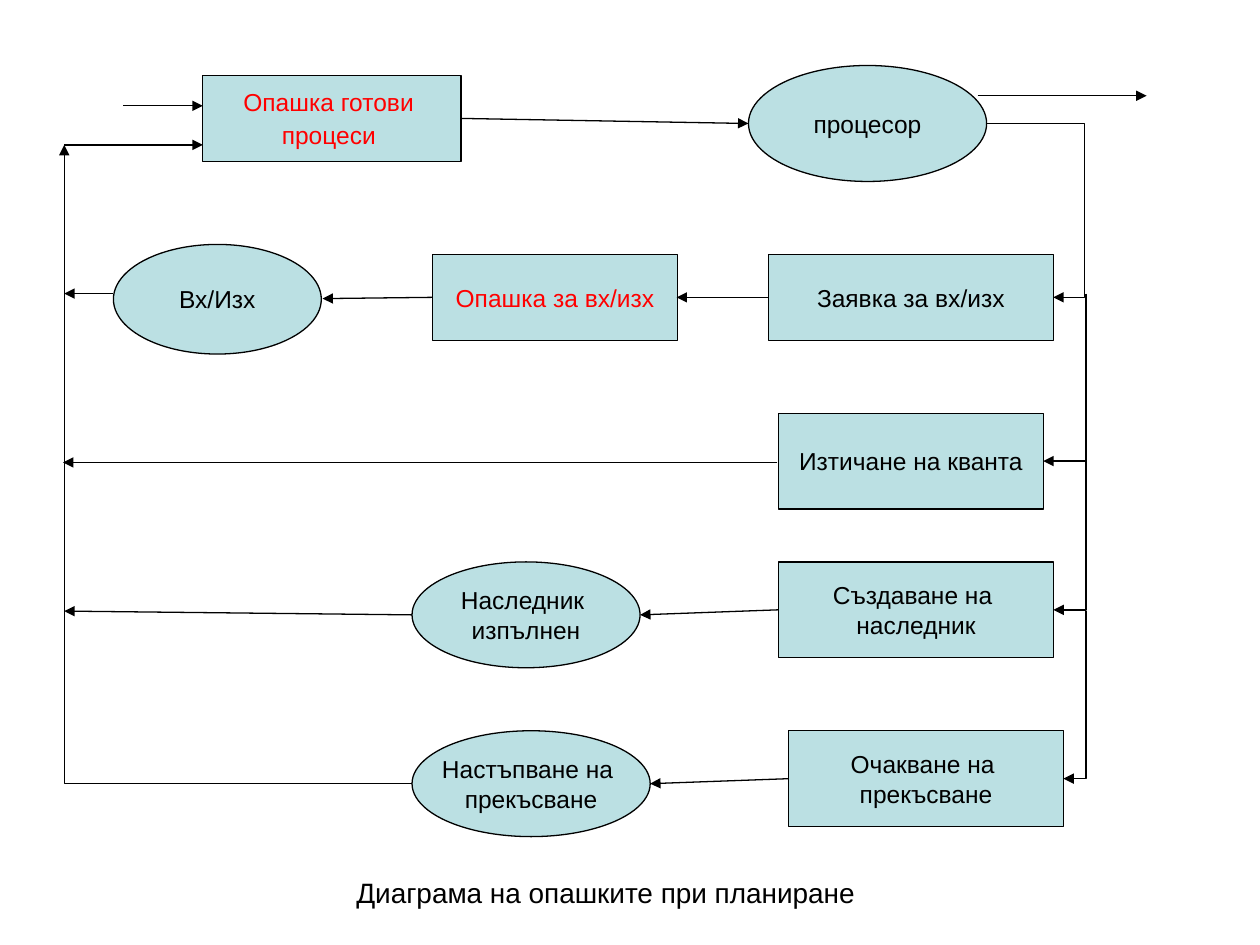
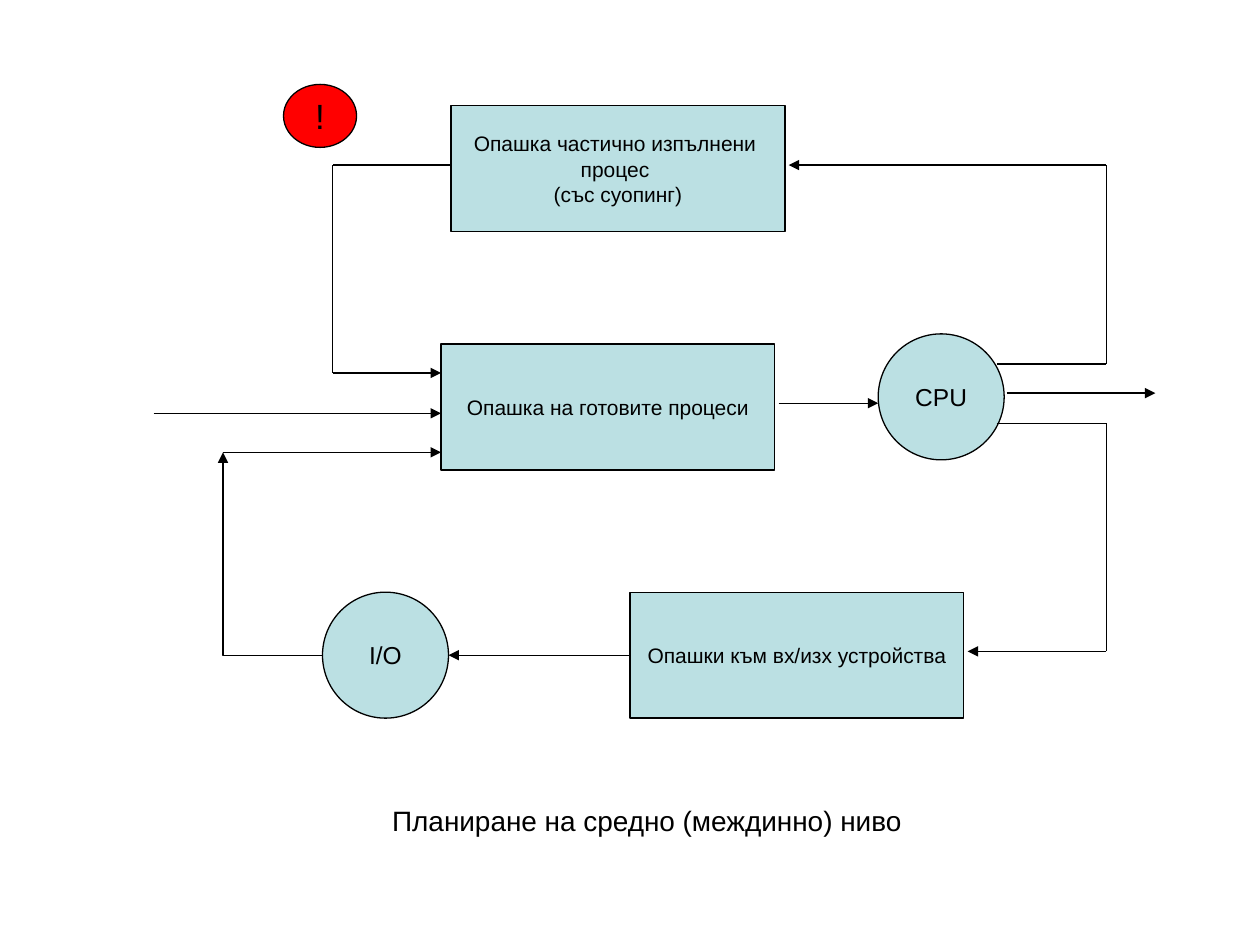
from itertools import pairwise

from lxml import etree
from pptx import Presentation
from pptx.dml.color import RGBColor
from pptx.enum.shapes import MSO_CONNECTOR as Link, MSO_SHAPE as Form
from pptx.enum.text import MSO_ANCHOR as Anchor, MSO_AUTO_SIZE as Fit, PP_ALIGN as Align
from pptx.oxml.ns import qn
from pptx.util import Inches, Pt

COLORS = {"node": "BBE0E3", "ink": "000000", "alert": "FF0000"}
FRAME = {
    "word_wrap": False,
    "vertical_anchor": Anchor.MIDDLE,
    "margin_left": Inches(0.1),
    "margin_right": Inches(0.1),
    "margin_top": Inches(0.05),
    "margin_bottom": Inches(0.05),
}
CAPTION_FRAME = FRAME | {"vertical_anchor": Anchor.TOP, "auto_size": Fit.SHAPE_TO_FIT_TEXT}


class Diagram:
    """Holds the shared style and the slide being drawn."""

    font, line_width = "Arial", Pt(0.75)

    def __init__(self, deck):
        self.deck = deck

    def new_slide(self):
        self.slide = self.deck.slides.add_slide(self.deck.slide_layouts[6])

    def color(self, name):
        return RGBColor.from_string(COLORS[name])

    def outline(self, item):
        item.line.color.rgb = self.color("ink")
        item.line.width = self.line_width

    def set_text(self, frame, lines, size, ink, align, settings):
        for name, value in settings.items():
            setattr(frame, name, value)
        for index, line in enumerate(lines):
            paragraph = frame.add_paragraph() if index else frame.paragraphs[0]
            paragraph.alignment = align
            run = paragraph.add_run()
            run.text = line
            style = {"name": self.font, "size": Pt(size)}
            for name, value in style.items():
                setattr(run.font, name, value)
            run.font.color.rgb = self.color(ink)

    def node(self, form, box, *lines, size=14, ink="ink", fill="node"):
        shape = self.slide.shapes.add_shape(form, *map(Inches, box))
        shape.shadow.inherit = False
        shape.fill.solid()
        shape.fill.fore_color.rgb = self.color(fill)
        self.outline(shape)
        self.set_text(shape.text_frame, lines, size, ink, Align.CENTER, FRAME)
        return shape.text_frame

    def queue(self, box, *lines, **style):
        return self.node(Form.RECTANGLE, box, *lines, **style)

    def station(self, box, *lines, **style):
        return self.node(Form.OVAL, box, *lines, **style)

    def caption(self, box, text, align):
        label = self.slide.shapes.add_textbox(*map(Inches, box))
        self.set_text(label.text_frame, [text], 16, "ink", align, CAPTION_FRAME)

    def connect(self, kind, start, end, head=True):
        link = self.slide.shapes.add_connector(kind, *map(Inches, (*start, *end)))
        self.outline(link)
        properties = link._element.spPr
        if head:
            etree.SubElement(properties.find(qn("a:ln")), qn("a:tailEnd"), type="triangle")
        etree.SubElement(properties, qn("a:effectLst"))
        return link

    def arrow(self, *points):
        """Straight segments through the points, with a head on the last one."""
        for start, end in pairwise(points):
            self.connect(Link.STRAIGHT, start, end, head=end is points[-1])

    def corner(self, start, end, turn):
        """One right-angle bend, turned by 90 (down, left) or 180 (left, up) degrees."""
        width, height = abs(end[0] - start[0]), abs(end[1] - start[1])
        if turn == 90:
            width, height = height, width
        x, y = (start[0] + end[0]) / 2, (start[1] + end[1]) / 2
        link = self.connect(Link.ELBOW, (x - width / 2, y - height / 2),
                            (x + width / 2, y + height / 2))
        link._element.spPr.find(qn("a:xfrm")).set("rot", str(turn * 60000))
        link._element.spPr.find(qn("a:prstGeom")).set("prst", "bentConnector2")

    def loop(self, start, end, reach):
        """Two bends; reach is the turning point as a share of the width."""
        link = self.connect(Link.ELBOW, start, end)
        guides = link._element.spPr.find(qn("a:prstGeom")).find(qn("a:avLst"))
        etree.SubElement(guides, qn("a:gd"), name="adj1", fmla=f"val {round(reach * 100000)}")


def draw_scheduling_queues(d):
    d.new_slide()
    return_x, request_x = 0.51, 8.62
    d.corner((3.27, 6.22), (return_x, 1.15), 180)

    # Queues and events
    d.queue((6.18, 4.46, 2.18, 0.76), "Създаване на ", "наследник")
    d.queue((6.26, 5.8, 2.18, 0.76), "Очакване на ", "прекъсване")
    d.queue((3.43, 2.02, 1.95, 0.68), "Опашка за вх/изх", ink="alert")
    d.queue((6.18, 3.28, 2.1, 0.76), "Изтичане на кванта")
    d.queue((6.1, 2.02, 2.26, 0.68), "Заявка за вх/изх")
    ready = d.queue((1.61, 0.6, 2.05, 0.68), "Опашка готови ", "процеси", ink="alert")
    line_end = ready.paragraphs[1].add_run()
    line_end.text, line_end.font.size = " ", Pt(16)

    # Stations
    d.station((3.27, 5.8, 1.89, 0.84), "Настъпване на ", "прекъсване")
    d.station((3.27, 4.46, 1.81, 0.84), "Наследник ", "изпълнен")
    d.station((0.9, 1.94, 1.65, 0.87), "Вх/Изх")
    d.station((5.94, 0.52, 1.89, 0.92), "процесор")

    # Requests leaving the processor
    d.loop((7.83, 0.98), (8.36, 2.36), 1.47)
    for top, end in ((2.33, (8.28, 3.66)), (3.59, (8.36, 4.84)), (4.85, (8.44, 6.18))):
        d.corner((request_x, top), end, 90)

    # Straight flow
    for start, end in (
        ((0.98, 0.84), (1.61, 0.84)),
        ((return_x, 1.15), (1.61, 1.15)),
        ((3.66, 0.94), (5.94, 0.98)),
        ((6.26, 6.18), (5.16, 6.22)),
        ((6.18, 4.84), (5.08, 4.88)),
        ((3.27, 4.88), (return_x, 4.85)),
        ((6.1, 2.36), (5.37, 2.36)),
        ((3.43, 2.36), (2.56, 2.37)),
        ((0.9, 2.33), (return_x, 2.33)),
        ((7.76, 0.76), (9.1, 0.76)),
        ((6.17, 3.67), (0.5, 3.67)),
    ):
        d.arrow(start, end)
    d.caption((2.73, 6.9, 4.16, 0.37), "Диаграма на опашките при планиране", Align.LEFT)


def draw_medium_level(d):
    d.new_slide()

    # Queues
    for left, top, lines in (
        (3.58, 0.84, ("Опашка частично изпълнени ", "процес ", "(със суопинг)")),
        (3.5, 2.73, ("Опашка на готовите процеси",)),
        (5, 4.7, ("Опашки към вх/изх устройства",)),
    ):
        d.queue((left, top, 2.65, 1), *lines, size=12)

    # Devices
    d.station((6.97, 2.65, 1, 1), "CPU")
    d.station((2.56, 4.7, 1, 1), "I/O")

    # Flow into the ready queue
    ready_x, swap_x, io_x = 3.5, 2.64, 1.77
    d.arrow((3.58, 1.31), (swap_x, 1.31), (swap_x, 2.96), (ready_x, 2.96))
    d.arrow((1.22, 3.28), (ready_x, 3.28))
    d.arrow((io_x, 3.59), (ready_x, 3.59))
    d.arrow((5, 5.2), (3.56, 5.2))
    d.corner((2.56, 5.2), (io_x, 3.59), 180)

    # Flow around the CPU
    cpu_x, bend_x = 7.91, 8.78
    d.arrow((cpu_x, 3.36), (bend_x, 3.36), (bend_x, 5.17), (7.68, 5.17))
    d.arrow((7.99, 3.12), (9.17, 3.12))
    d.arrow((6.18, 3.2), (6.97, 3.2))
    d.arrow((cpu_x, 2.89), (bend_x, 2.89), (bend_x, 1.31), (6.26, 1.31))

    # Caption and warning
    d.caption((3.01, 6.33, 4.25, 0.37), "Планиране на средно (междинно) ниво", Align.CENTER)
    warning = d.station((2.25, 0.67, 0.58, 0.5), "!", size=20, fill="alert")
    warning.paragraphs[0].space_before = Pt(5)


def main():
    deck = Presentation()
    deck.slide_width, deck.slide_height = Inches(10), Inches(7.5)
    diagram = Diagram(deck)
    draw_scheduling_queues(diagram)
    draw_medium_level(diagram)
    deck.save("out.pptx")


if __name__ == "__main__":
    main()
